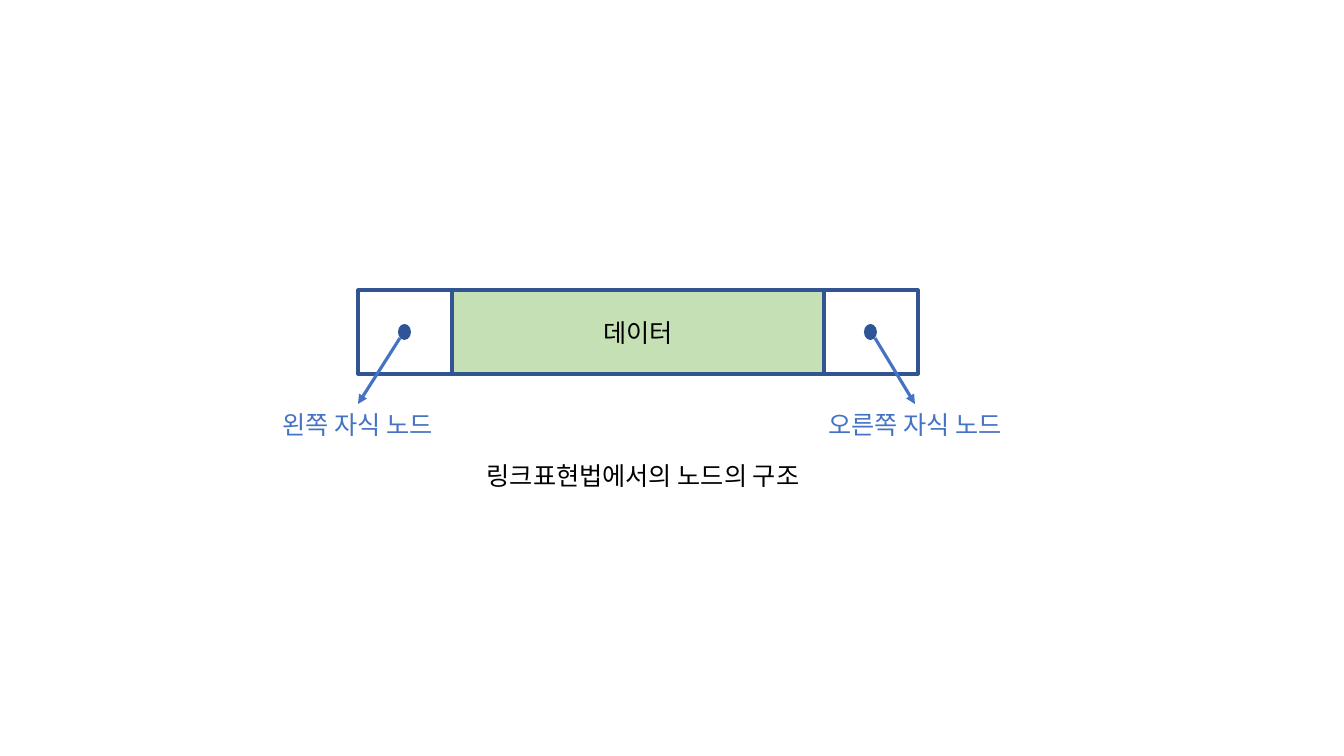
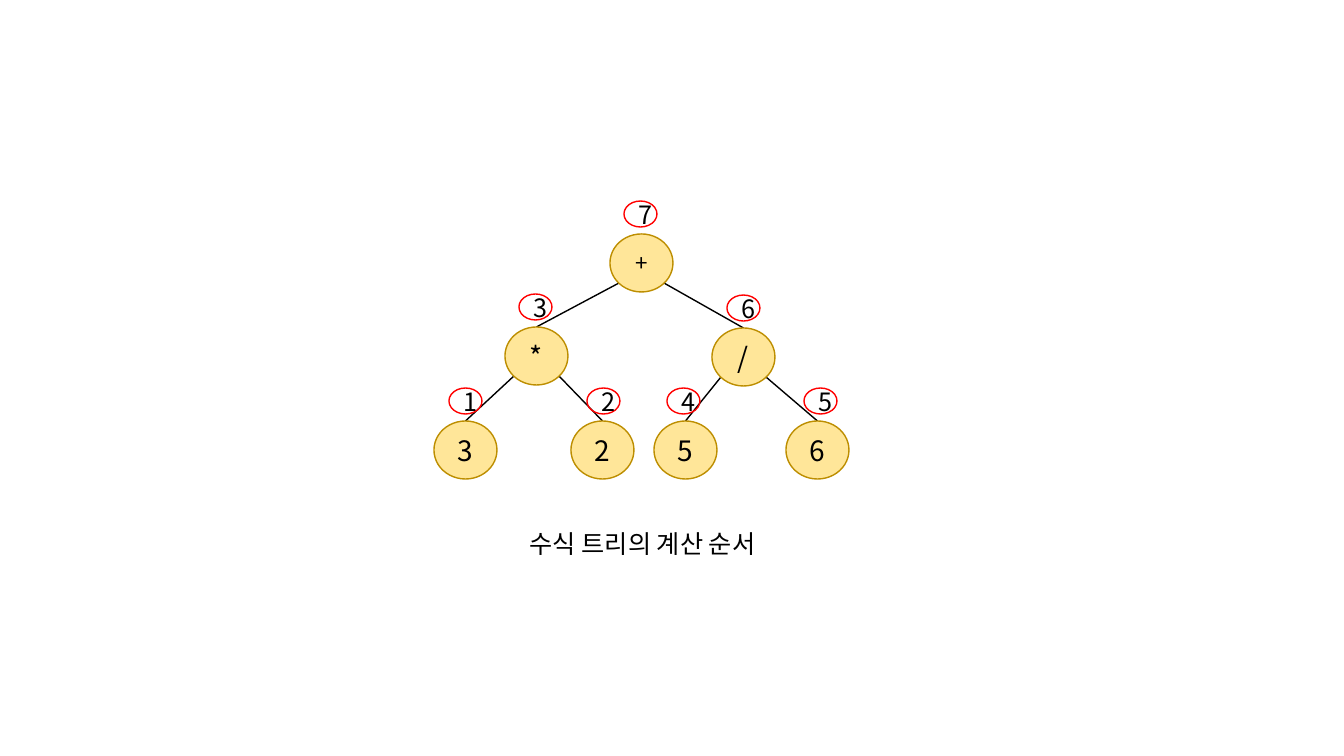
from lxml import etree
from pptx import Presentation
from pptx.dml.color import RGBColor
from pptx.enum.shapes import MSO_CONNECTOR, MSO_SHAPE
from pptx.enum.text import MSO_ANCHOR, MSO_AUTO_SIZE, PP_ALIGN
from pptx.oxml.ns import qn
from pptx.util import Pt

PIXEL = 914400 / 100.8
FONT = "Noto Sans CJK KR"
BLACK = RGBColor(0x00, 0x00, 0x00)
NAVY = RGBColor(0x32, 0x54, 0x91)
DOT_BLUE = RGBColor(0x2F, 0x55, 0x97)
LINK_BLUE = RGBColor(0x44, 0x72, 0xC4)
GREEN = RGBColor(0xC5, 0xE0, 0xB4)
YELLOW = RGBColor(0xFF, 0xE6, 0x99)
GOLD = RGBColor(0xBD, 0x8E, 0x00)
RED = RGBColor(0xFF, 0x00, 0x00)


def add_box(page, at, text="", kind=None, fill=None, line=None, width=1, size=18, color=BLACK):
    """Add a preset shape, or a text box when no kind is given."""
    frame = [round(value * PIXEL) for value in at]
    if kind is None:
        box = page.shapes.add_textbox(*frame)
        box.text_frame.auto_size = MSO_AUTO_SIZE.SHAPE_TO_FIT_TEXT
    else:
        box = page.shapes.add_shape(kind, *frame)
        box.shadow.inherit = False
        box.text_frame.vertical_anchor = MSO_ANCHOR.MIDDLE
        if fill is None:
            box.fill.background()
        else:
            box.fill.solid()
            box.fill.fore_color.rgb = fill
        if line is None:
            box.line.fill.background()
        else:
            box.line.color.rgb = line
            box.line.width = Pt(width)
    box.text_frame.word_wrap = True
    if text:
        para = box.text_frame.paragraphs[0]
        para.alignment = PP_ALIGN.CENTER
        span = para.add_run()
        span.text = text
        span.font.name = FONT
        span.font.size = Pt(size)
        span.font.color.rgb = color
        east_asian = etree.SubElement(span.font._element, qn("a:ea"))
        east_asian.set("typeface", FONT)


def add_line(page, start, end, color=BLACK, width=1, arrow=False):
    """Add a straight connector, with an arrowhead at its end if asked."""
    ends = [round(value * PIXEL) for value in (*start, *end)]
    connector = page.shapes.add_connector(MSO_CONNECTOR.STRAIGHT, *ends)
    connector.line.color.rgb = color
    connector.line.width = Pt(width)
    if arrow:
        head = etree.SubElement(connector.line._get_or_add_ln(), qn("a:tailEnd"))
        head.set("type", "triangle")
    etree.SubElement(connector._element.spPr, qn("a:effectLst"))


deck = Presentation()
deck.slide_width = round(1344 * PIXEL)
deck.slide_height = round(756 * PIXEL)
blank = deck.slide_layouts[6]

# Slide 1: structure of a linked node
page = deck.slides.add_slide(blank)
cell_top, cell_height, link_width = 290, 84, 94
add_box(page, (452, cell_top, 372, cell_height), "데이터", MSO_SHAPE.RECTANGLE,
        fill=GREEN, line=NAVY, width=2.25)

# Link cells: cell left, arrow start and end, label left, label
links = [
    (358, 400, 358, 233, "왼쪽 자식 노드"),
    (824, 875, 915, 790, "오른쪽 자식 노드"),
]
for cell_left, arrow_start, arrow_end, label_left, label in links:
    add_box(page, (cell_left, cell_top, link_width, cell_height),
            kind=MSO_SHAPE.RECTANGLE, line=NAVY, width=2.25)
    add_box(page, (cell_left + 40, 324, 13, 16),
            kind=MSO_SHAPE.FLOWCHART_CONNECTOR, fill=DOT_BLUE)
    add_line(page, (arrow_start, 338), (arrow_end, 404), LINK_BLUE, 2.25, arrow=True)
    add_box(page, (label_left, 404, 250, 40), label, color=LINK_BLUE)

add_box(page, (404, 455, 478, 40), "링크표현법에서의 노드의 구조")

# Slide 2: evaluation order of an expression tree
page = deck.slides.add_slide(blank)
node_width, node_height = 63, 58

# Nodes: left, top, symbol, symbol size, order, order left
nodes = {
    "root": (610, 234, "+", 16, "7", 624),
    "times": (505, 327, "*", 20, "3", 519),
    "divide": (712, 328, "/", 20, "6", 727),
    "three": (434, 421, "3", 20, "1", 449),
    "two": (571, 421, "2", 20, "2", 587),
    "five": (654, 421, "5", 20, "4", 667),
    "six": (786, 421, "6", 20, "5", 804),
}
children = {
    "root": ("times", "divide"),
    "times": ("three", "two"),
    "divide": ("five", "six"),
}

# Edges run from a parent's lower corners to the top of each child
for parent, pair in children.items():
    parent_left, parent_top = nodes[parent][:2]
    for child, corner in zip(pair, (9, node_width - 9)):
        child_left, child_top = nodes[child][:2]
        add_line(page, (parent_left + corner, parent_top + 49),
                 (child_left + node_width / 2, child_top))

# Nodes with their order above
for left, top, symbol, size, order, order_left in nodes.values():
    add_box(page, (left, top, node_width, node_height), symbol,
            MSO_SHAPE.FLOWCHART_CONNECTOR, fill=YELLOW, line=GOLD, size=size)
    add_box(page, (order_left, top - 33, 33, 26), order,
            MSO_SHAPE.FLOWCHART_CONNECTOR, line=RED)

add_box(page, (437, 523, 411, 40), "수식 트리의 계산 순서")

deck.save("out.pptx")
